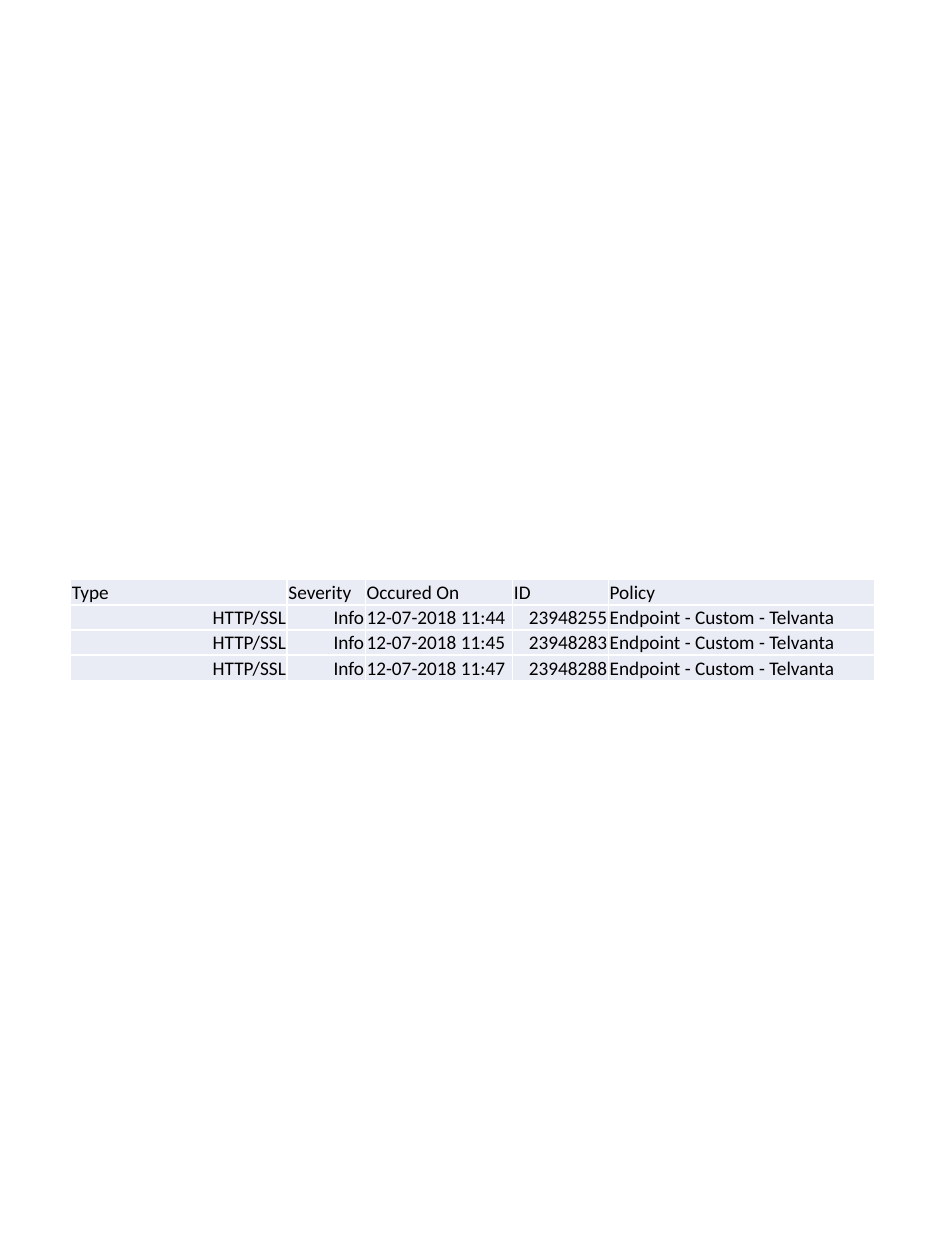
from lxml.etree import SubElement
from pptx import Presentation
from pptx.dml.color import RGBColor
from pptx.enum.text import MSO_ANCHOR, PP_ALIGN
from pptx.oxml.ns import qn
from pptx.util import Inches, Pt

COLORS = {"cell": "E9EBF5", "rule": "FFFFFF", "text": "000000"}
HEAD = ["Type", "Severity", "Occured On", "ID", "Policy"]
EVENTS = [("11:44", "23948255"), ("11:45", "23948283"), ("11:47", "23948288")]
ROWS = [HEAD] + [
    ["HTTP/SSL", "Info", f"12-07-2018 {time}", code, "Endpoint - Custom - Telvanta"]
    for time, code in EVENTS
]
WIDTHS = [1.72, 0.62, 1.17, 0.76, 2.11]
RIGHT = {0, 1, 3}
LEFT, TOP, HEIGHT = 0.56, 4.6, 0.2


def add_rules(cell):
    props = cell._tc.get_or_add_tcPr()
    for side in ("lnL", "lnR", "lnT", "lnB"):
        line = SubElement(props, qn(f"a:{side}"), w=str(Pt(1)))
        fill = SubElement(line, qn("a:solidFill"))
        SubElement(fill, qn("a:srgbClr"), val=COLORS["rule"])


def fill_cell(cell, text, align):
    add_rules(cell)
    cell.fill.solid()
    cell.fill.fore_color.rgb = RGBColor.from_string(COLORS["cell"])
    cell.margin_left = cell.margin_right = cell.margin_top = Inches(0.01)
    cell.margin_bottom = 0
    cell.vertical_anchor = MSO_ANCHOR.BOTTOM
    para = cell.text_frame.paragraphs[0]
    para.alignment = align
    run = para.add_run()
    run.text = text
    run.font.name = "Calibri"
    run.font.size = Pt(11)
    run.font.color.rgb = RGBColor.from_string(COLORS["text"])


deck = Presentation()
deck.slide_width, deck.slide_height = Inches(7.5), Inches(10)
slide = deck.slides.add_slide(deck.slide_layouts[6])
table = slide.shapes.add_table(
    len(ROWS), len(HEAD), Inches(LEFT), Inches(TOP),
    Inches(sum(WIDTHS)), Inches(HEIGHT * len(ROWS)),
).table
table.first_row = False
table.horz_banding = False
for col, width in zip(table.columns, WIDTHS):
    col.width = Inches(width)
for r, row in enumerate(ROWS):
    table.rows[r].height = Inches(HEIGHT)
    for c, text in enumerate(row):
        align = PP_ALIGN.RIGHT if r and c in RIGHT else PP_ALIGN.LEFT
        fill_cell(table.cell(r, c), text, align)

deck.save("out.pptx")
